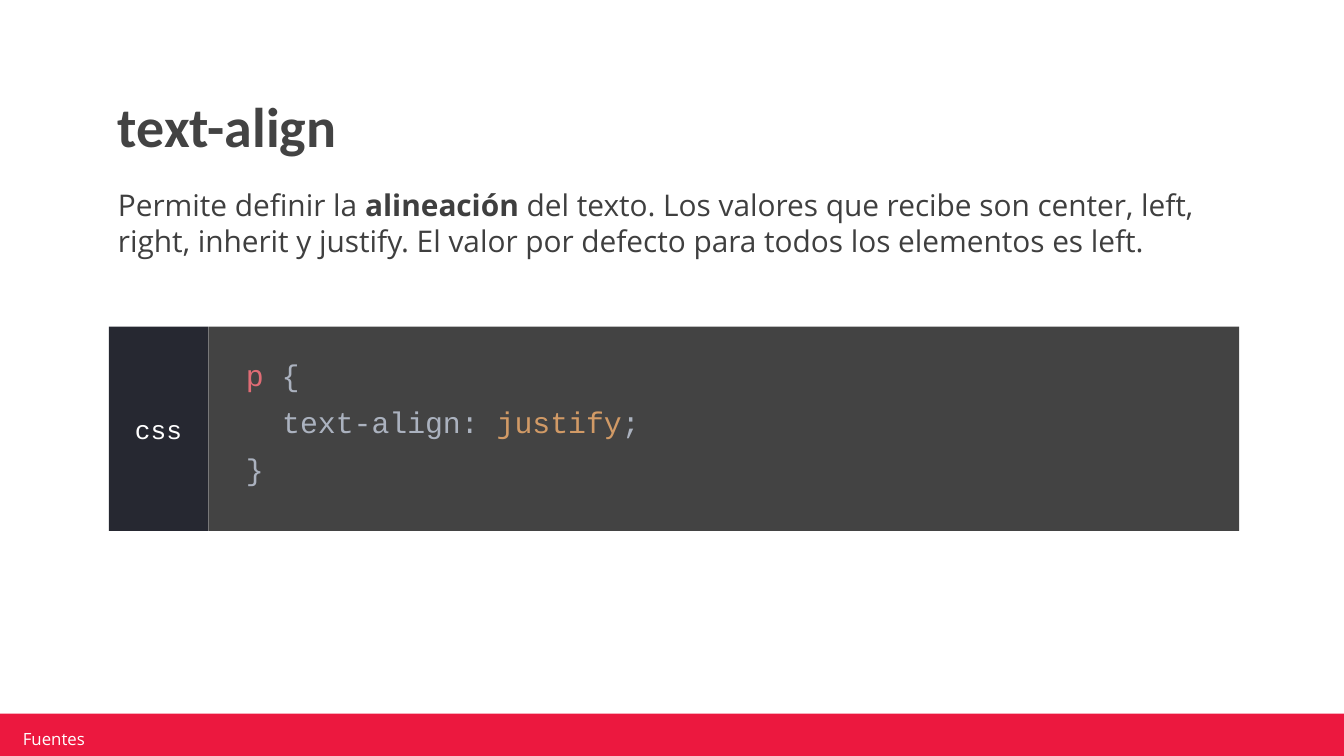
from dataclasses import dataclass
from typing import Optional

from pptx import Presentation
from pptx import util as u
from pptx.dml.color import RGBColor
from pptx.enum import shapes, text

WHITE = RGBColor(0xFF, 0xFF, 0xFF)
RED = RGBColor(0xEC, 0x18, 0x3F)
DARK = RGBColor(0x43, 0x43, 0x43)
NAVY = RGBColor(0x26, 0x28, 0x31)
INK = RGBColor(0x3F, 0x3F, 0x3F)
ROSE = RGBColor(0xE0, 0x6C, 0x75)
GREY = RGBColor(0xAB, 0xB2, 0xBF)
AMBER = RGBColor(0xD1, 0x9A, 0x66)

LEFT = text.PP_ALIGN.LEFT
MID = text.MSO_ANCHOR.MIDDLE


@dataclass
class Run:
    words: str
    color: RGBColor
    bold: bool = False


@dataclass
class Para:
    runs: list[Run]
    align: text.PP_ALIGN = LEFT
    before: float = 0
    lead: float = 1.0
    indent: float = 0


@dataclass
class Panel:
    area: tuple[float, float, float, float]
    paras: list[Para]
    font: str = "Open Sans"
    size: float = 16
    fill: Optional[RGBColor] = None
    anchor: text.MSO_ANCHOR = MID
    inset: tuple[float, float, float, float] = (0.1, 0.1, 0.1, 0.1)


def write(frame, panel: Panel) -> None:
    frame.word_wrap = True
    frame.auto_size = text.MSO_AUTO_SIZE.NONE
    frame.vertical_anchor = panel.anchor
    (frame.margin_left, frame.margin_top,
     frame.margin_right, frame.margin_bottom) = map(u.Inches, panel.inset)
    for num, para in enumerate(panel.paras):
        line = frame.add_paragraph() if num else frame.paragraphs[0]
        line.alignment = para.align
        line.space_before = u.Pt(para.before)
        line.line_spacing = para.lead
        props = line._p.get_or_add_pPr()
        props.set("marL", str(u.Inches(para.indent)))
        props.set("indent", "0")
        for part in para.runs:
            run = line.add_run()
            run.text = part.words
            run.font.name = panel.font
            run.font.size = u.Pt(panel.size)
            run.font.bold = part.bold
            run.font.color.rgb = part.color


def draw(slide, panel: Panel) -> None:
    area = map(u.Inches, panel.area)
    if panel.fill is None:
        shape = slide.shapes.add_textbox(*area)
    else:
        shape = slide.shapes.add_shape(shapes.MSO_SHAPE.RECTANGLE, *area)
        shape.shadow.inherit = False
        shape.fill.solid()
        shape.fill.fore_color.rgb = panel.fill
        shape.line.fill.background()
    if panel.paras:
        write(shape.text_frame, panel)


def code(runs: list[Run], depth: int = 0) -> Para:
    return Para(runs, before=6, indent=0.2 + 0.27 * depth)


WIDE = 10
TOP, HIGH = 2.43, 1.52
TAG_X, TAG_W, CODE_W = 0.81, 0.74, 7.67

PANELS = [
    Panel((-0.02, 5.31, 10.03, 0.36), [], fill=RED),
    Panel((0.12, 5.42, 2.39, 0.15), [Para([Run("Fuentes", WHITE)])],
          size=9, inset=(0.05, 0.02, 0.05, 0.02)),
    Panel((0.78, 0.6, 5.96, 0.69),
          [Para([Run("text-align", DARK, True)], lead=0.9)],
          font="Calibri", size=30, anchor=text.MSO_ANCHOR.BOTTOM),
    Panel((0.78, 1.29, 8.43, 0.79), [Para([
        Run("Permite definir la ", INK),
        Run("alineación", INK, True),
        Run(" del texto. Los valores que recibe son center, left, right, "
            "inherit y justify. El valor por defecto para todos los "
            "elementos es left.", INK),
    ], before=10)], anchor=text.MSO_ANCHOR.TOP),
    Panel((TAG_X + TAG_W, TOP, CODE_W, HIGH), [
        code([Run("p ", ROSE), Run("{", GREY)]),
        code([Run("text-align: ", GREY), Run("justify", AMBER),
              Run(";", GREY)], depth=1),
        code([Run("}", GREY)]),
    ], font="Courier New", fill=DARK, inset=(0.08, 0, 0.1, 0.1)),
    Panel((TAG_X, TOP, TAG_W, HIGH),
          [Para([Run("css", WHITE)], align=text.PP_ALIGN.CENTER)],
          font="Courier New", size=14, fill=NAVY),
]


def main() -> None:
    deck = Presentation()
    deck.slide_width = u.Inches(WIDE)
    deck.slide_height = u.Inches(WIDE * 9 / 16)
    slide = deck.slides.add_slide(deck.slide_layouts[6])
    for panel in PANELS:
        draw(slide, panel)
    deck.save("out.pptx")


if __name__ == "__main__":
    main()
